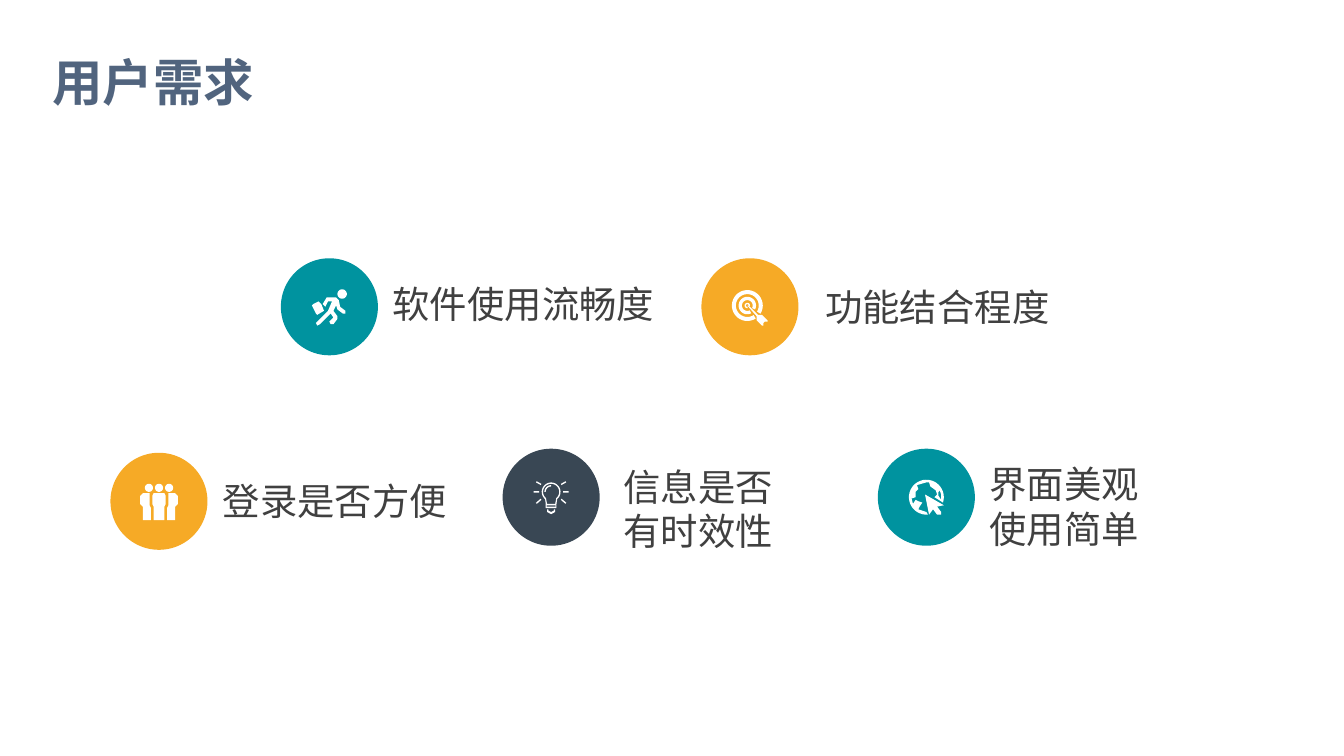
import math

import pptx
import pptx.dml.color
import pptx.enum.shapes
import pptx.enum.text
import pptx.oxml.ns
import pptx.util

Pt = pptx.util.Pt
RGBColor = pptx.dml.color.RGBColor

FONT = "Noto Sans CJK SC"
WHITE = RGBColor(0xFF, 0xFF, 0xFF)
ORANGE = RGBColor(0xF6, 0xAA, 0x26)
TEAL = RGBColor(0x00, 0x93, 0x9F)
SLATE = RGBColor(0x39, 0x47, 0x54)
TITLE_BLUE = RGBColor(0x51, 0x64, 0x7E)
TEXT_GREY = RGBColor(0x40, 0x40, 0x40)

DIAMETER = 52
ICON_UNIT = 0.72


# Icon outlines are lists of points around the badge centre, in icon units.

def arc(x, y, radius, start=0, end=360):
    """Points along an arc; angles in degrees, clockwise from the right."""
    steps = 32
    angles = [math.radians(start + (end - start) * i / steps) for i in range(steps + 1)]
    return [(x + radius * math.cos(a), y + radius * math.sin(a)) for a in angles]


def band(x, y, outer, inner, start, end):
    return arc(x, y, outer, start, end) + arc(x, y, inner, end, start)


def bar(x1, y1, x2, y2, width=1):
    length = math.hypot(x2 - x1, y2 - y1)
    dx = (y1 - y2) / length * width / 2
    dy = (x2 - x1) / length * width / 2
    return [(x1 + dx, y1 + dy), (x2 + dx, y2 + dy), (x2 - dx, y2 - dy), (x1 - dx, y1 - dy)]


def mirrored(outline):
    return [(-x, y) for x, y in outline]


def people_icon():
    middle = [(-4, -6), (4, -6), (5, -4), (5, 2), (4, 4), (4, 14),
              (-4, 14), (-4, 4), (-5, 2), (-5, -4)]
    side = [(7, -6), (12, -6), (14, -4), (14, 2), (12, 4), (12, 14),
            (6, 14), (6, 5), (7, 3)]
    heads = [arc(x, -10, 3) for x in (-7.5, 0, 7.5)]
    return heads + [middle, side, mirrored(side)]


def runner_icon():
    body = [(5, -7), (7, -5), (8, 0), (12, 3), (12, 5), (10, 5), (6, 2), (5, -1),
            (3, 3), (6, 7), (6, 9), (3, 13), (1, 13), (0, 11), (3, 8), (1, 5),
            (-7, 13), (-9, 14), (-10, 12), (-1, 3), (2, -4), (-1, -4), (-3, 0),
            (-5, -2), (-2, -7)]
    suitcase = [(-13, -1), (-12, -2), (-8, -4), (-6, -2), (-4, 3), (-9, 6), (-10, 5)]
    return [arc(9.5, -9.5, 3.5), body, suitcase]


def bulb_icon():
    glass = [arc(0, -4, radius, 130, 410) + [(neck, 5), (-neck, 5)]
             for radius, neck in ((7, 4), (6, 3))]
    rays = [bar(7.5, 1.5, 11, 4.5), bar(9, -4, 13, -4), bar(7.5, -9.5, 11, -11.5)]
    collar = [bar(-4, 6.5, 4, 6.5, 3), bar(-3.3, 6.5, 3.3, 6.5)]
    foot = [(-3, 9), (-2, 9), (-2, 10), (0, 11), (2, 10), (2, 9),
            (3, 9), (3, 11), (0, 12.5), (-3, 11)]
    return glass + rays + [mirrored(ray) for ray in rays] + collar + [
        foot, band(0, -4, 5, 4, 180, 270)]


def target_icon():
    rings = [band(-2, -1, outer, inner, start, end) for outer, inner, start, end in (
        (11.5, 8.5, 57, 392), (6.5, 4, 63, 387), (2, 1, 80, 370))]
    arrow = [(-2, -1), (-1, -1), (6, 6), (9, 6), (13, 10), (13, 11), (11, 11),
             (10, 12), (10, 14), (9, 14), (5, 10), (5, 7)]
    return rings + [arrow]


def globe_icon():
    land = [(6, 0), (8, -2), (7, -5), (3, -8), (2, -11), (0, -11), (-7, -9), (-6, -6),
            (-8, -4), (-8, -2), (-8, 0), (-11, 1), (-10, 5), (-8, 2), (-6, 3),
            (-3, 4), (-5, 7), (-6, 9), (0, 11)]
    sea = [(10, -5), (9, -4), (9, -1), (11, 2), (11, -2)]
    pointer = [(-1, -2), (13, 6), (8, 7), (11, 11), (11, 13), (8, 13), (5, 9), (2, 13)]
    return [arc(0, 0, 13, 85, 378) + land, sea, pointer]


def paint(shape, color):
    shape.shadow.inherit = False
    shape.fill.solid()
    shape.fill.fore_color.rgb = color
    shape.line.fill.background()


def add_badge(slide, left, top, color, outlines):
    """A coloured disc with a white icon in its middle."""
    group = slide.shapes.add_group_shape()
    disc = group.shapes.add_shape(
        pptx.enum.shapes.MSO_SHAPE.OVAL, Pt(left), Pt(top), Pt(DIAMETER), Pt(DIAMETER))
    paint(disc, color)

    center_x, center_y = left + DIAMETER / 2, top + DIAMETER / 2
    builder = None
    for outline in outlines:
        points = [(Pt(center_x + x * ICON_UNIT), Pt(center_y + y * ICON_UNIT))
                  for x, y in outline]
        if builder is None:
            builder = group.shapes.build_freeform(*points[0])
        else:
            builder.move_to(*points[0])
        builder.add_line_segments(points[1:], close=True)
    paint(builder.convert_to_shape(), WHITE)


def add_text(slide, text, left, top, width, height, size, color,
             bold=False, margins=(0, 0), line_spacing=None):
    box = slide.shapes.add_textbox(Pt(left), Pt(top), Pt(width), Pt(height))
    frame = box.text_frame
    frame.word_wrap = True
    frame.auto_size = pptx.enum.text.MSO_AUTO_SIZE.SHAPE_TO_FIT_TEXT
    frame.margin_left = frame.margin_right = Pt(margins[0])
    frame.margin_top = frame.margin_bottom = Pt(margins[1])
    frame.text = text
    for paragraph in frame.paragraphs:
        paragraph.line_spacing = line_spacing
        for run in paragraph.runs:
            run.font.size = Pt(size)
            run.font.bold = bold
            run.font.color.rgb = color
            run.font.name = FONT
            east_asian = run._r.get_or_add_rPr().makeelement(
                pptx.oxml.ns.qn("a:ea"), {"typeface": FONT})
            run._r.rPr.append(east_asian)


def main():
    presentation = pptx.Presentation()
    presentation.slide_width = Pt(720)
    presentation.slide_height = Pt(405)
    slide = presentation.slides.add_slide(presentation.slide_layouts[6])

    add_text(slide, "用户需求", 23, 18, 157, 42, 27, TITLE_BLUE,
             bold=True, margins=(5, 3), line_spacing=1.2)

    # badge left, badge top, colour, icon, text, text left, text top
    needs = [
        (150.5, 138.4, TEAL, runner_icon(), "软件使用流畅度", 210.3, 150.5),
        (375.8, 138.4, ORANGE, target_icon(), "功能结合程度", 442, 152),
        (59.2, 242.6, ORANGE, people_icon(), "登录是否方便", 119.3, 256.3),
        (269.3, 240.4, SLATE, bulb_icon(), "信息是否\n有时效性", 334, 248.5),
        (470.3, 240.4, TEAL, globe_icon(), "界面美观\n使用简单", 530, 247),
    ]
    for left, top, color, icon, text, text_left, text_top in needs:
        add_badge(slide, left, top, color, icon)
        height = 24 * (text.count("\n") + 1)
        add_text(slide, text, text_left, text_top, 145, height, 20, TEXT_GREY)

    presentation.save("out.pptx")


if __name__ == "__main__":
    main()
